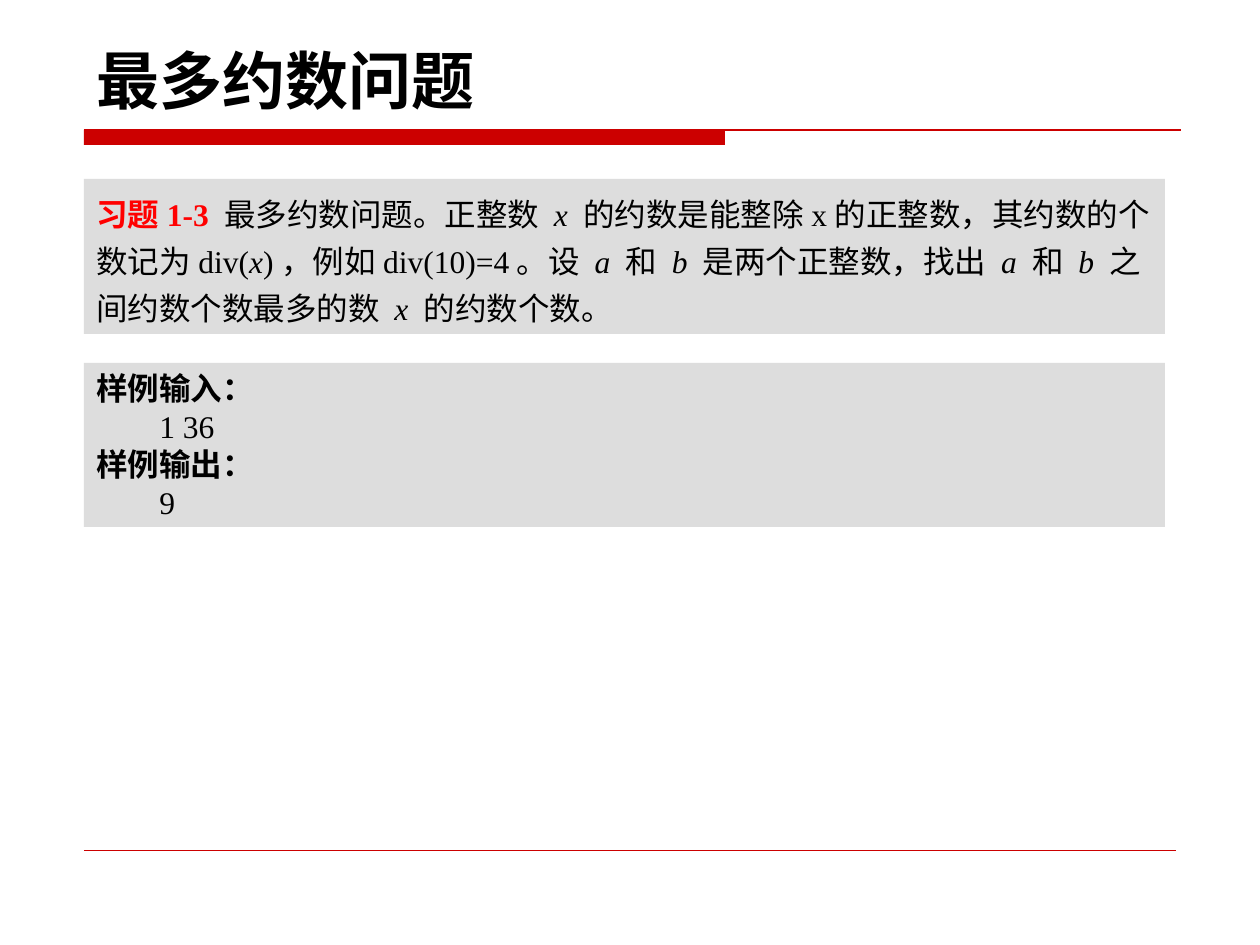
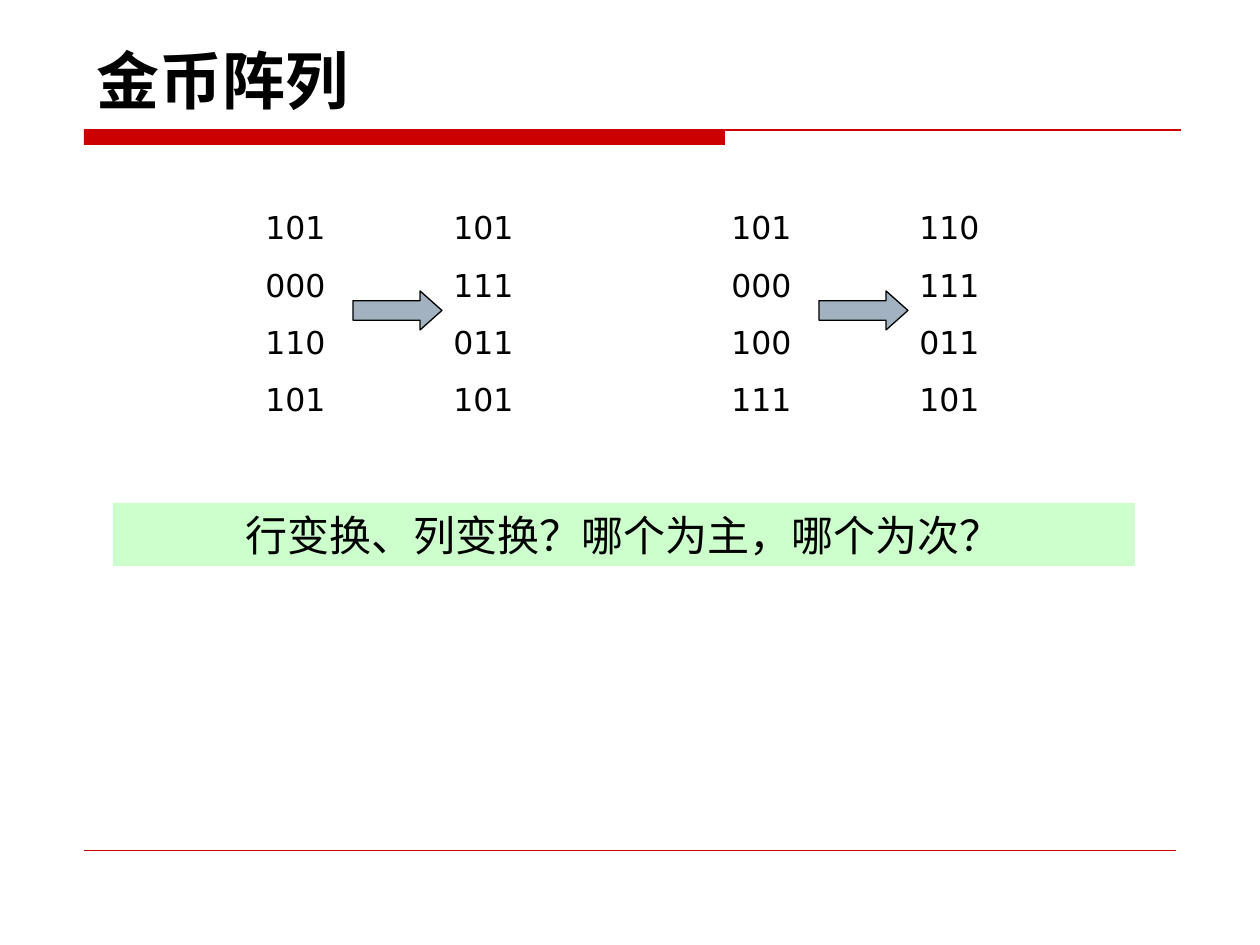
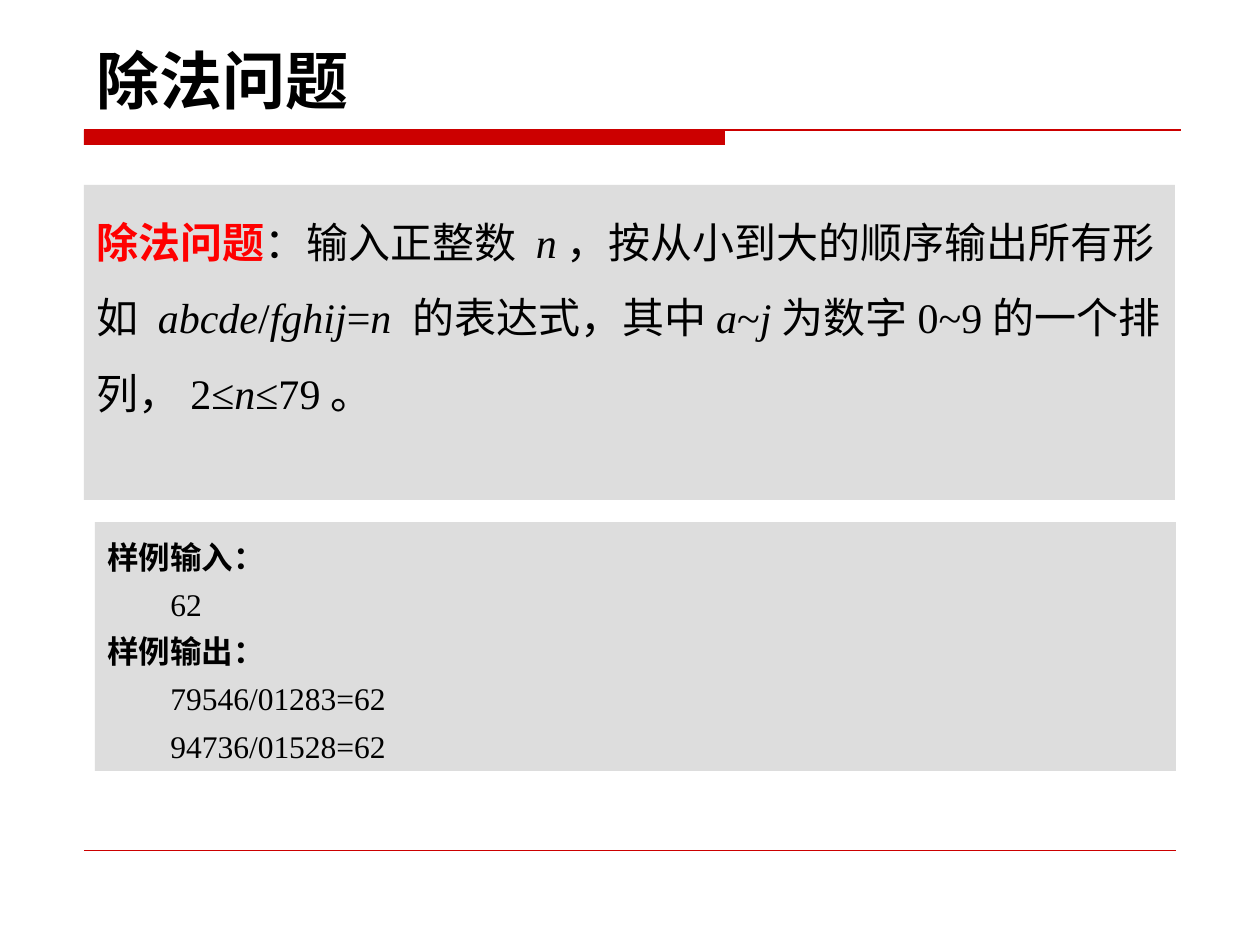
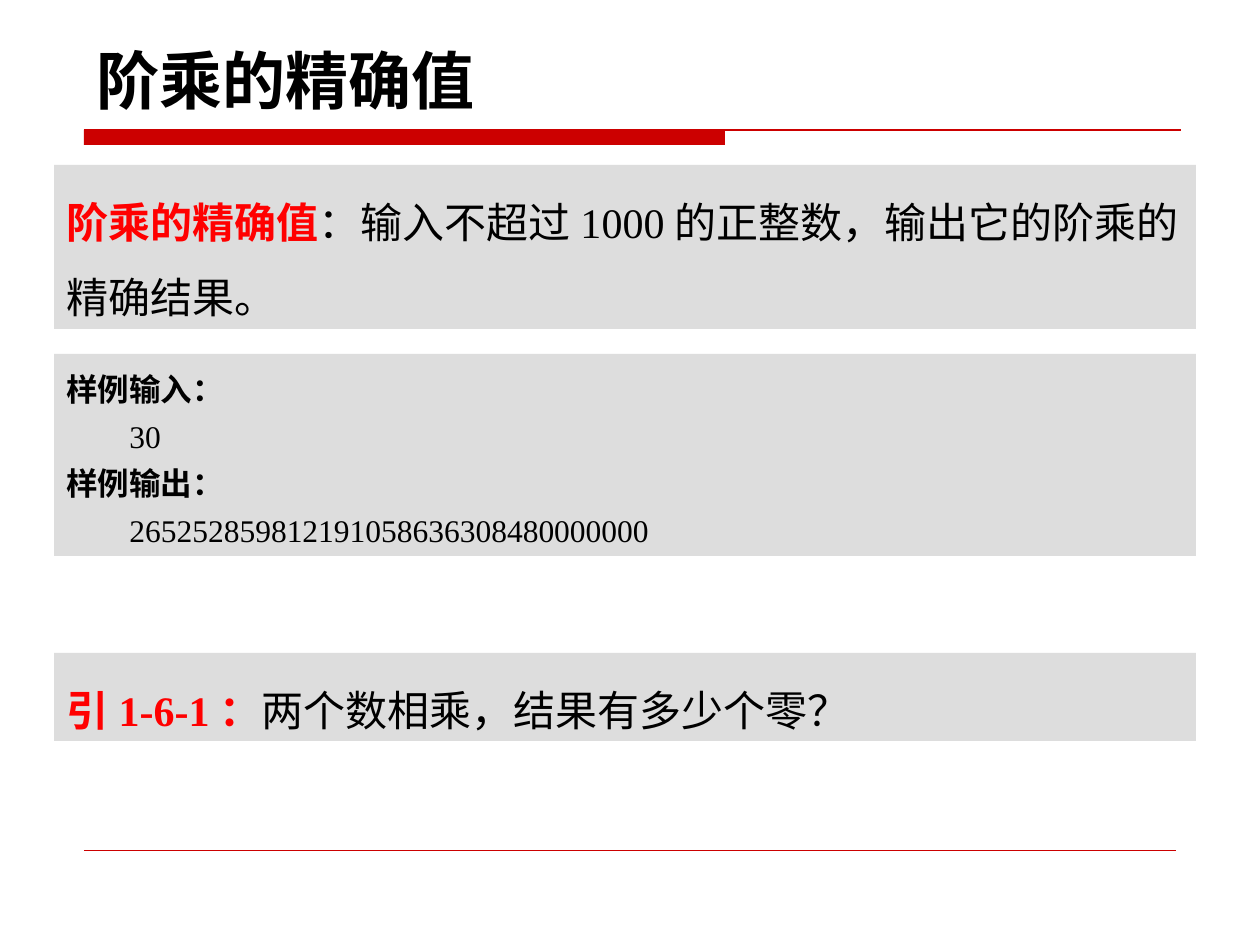
from lxml.etree import SubElement
from pptx import Presentation
from pptx.dml.color import RGBColor
from pptx.enum.shapes import MSO_CONNECTOR as Connector, MSO_SHAPE as Shape
from pptx.enum.text import MSO_ANCHOR as Anchor, PP_ALIGN as Align
from pptx.oxml.ns import qn
from pptx.util import Inches, Pt

PX = Inches(1) // 126
SANS, SERIF = "DejaVu Sans", "Times New Roman"
RED, BLACK, GREY = "CC0000", "000000", "DDDDDD"
HIGHLIGHT, GREEN, STEEL = "FF0000", "CCFFCC", "A3B2C1"
color = RGBColor.from_string


def add_line(slide, left, right, y, width):
    line = slide.shapes.add_connector(Connector.STRAIGHT, left * PX, y * PX, right * PX, y * PX)
    line.line.color.rgb = color(RED)
    line.line.width = Pt(width)
    SubElement(line._element.spPr, qn("a:effectLst"))


def add_box(slide, place, paragraphs, size, font=SERIF, fill=None,
            spacing=1.0, before=0, align=Align.LEFT):
    bounds = [value * PX for value in place]
    if fill:
        box = slide.shapes.add_shape(Shape.RECTANGLE, *bounds)
        box.shadow.inherit = False
        box.fill.solid()
        box.fill.fore_color.rgb = color(fill)
        box.line.fill.background()
    else:
        box = slide.shapes.add_textbox(*bounds)
    frame = box.text_frame
    frame.word_wrap = True
    frame.vertical_anchor = Anchor.TOP
    for index, runs in enumerate(paragraphs):
        paragraph = frame.add_paragraph() if index else frame.paragraphs[0]
        paragraph.alignment = align
        paragraph.line_spacing = spacing
        if index and before:
            paragraph.space_before = Pt(before)
        paragraph.font.name = font
        paragraph.font.size = Pt(size)
        for text, style in runs:
            run = paragraph.add_run()
            run.text = text
            run.font.bold = style in ("bold", "key")
            run.font.italic = style == "italic"
            run.font.color.rgb = color(HIGHLIGHT if style == "key" else BLACK)


presentation = Presentation()
presentation.slide_width = Inches(10)
presentation.slide_height = Inches(7.5)

slides = []
for title in ["最多约数问题", "金币阵列", "除法问题", "阶乘的精确值"]:
    slide = presentation.slides.add_slide(presentation.slide_layouts[6])
    band = slide.shapes.add_shape(Shape.RECTANGLE, 84 * PX, 130 * PX, 641 * PX, 15 * PX)
    band.shadow.inherit = False
    band.fill.solid()
    band.fill.fore_color.rgb = color(RED)
    band.line.fill.background()
    add_line(slide, 84, 1181, 130, 0.75)
    add_line(slide, 84, 1176, 850, 0.25)
    add_box(slide, (84, 35, 992, 88), [[(title, "bold")]], 36, SANS)
    slides.append(slide)
divisors, coins, division, factorial = slides

add_box(divisors, (84, 179, 1081, 155), [[
    ("习题1-3 ", "key"), ("最多约数问题。正整数 ", ""), ("x ", "italic"),
    ("的约数是能整除x的正整数，其约数的个数记为div(", ""), ("x", "italic"),
    (")，例如div(10)=4。设 ", ""), ("a ", "italic"), ("和 ", ""), ("b ", "italic"),
    ("是两个正整数，找出 ", ""), ("a ", "italic"), ("和 ", ""), ("b ", "italic"),
    ("之间约数个数最多的数 ", ""), ("x ", "italic"), ("的约数个数。", ""),
]], 18, fill=GREY, spacing=1.25)

for left, before_rows, after_rows in [
    (253, ["101", "000", "110", "101"], ["101", "111", "011", "101"]),
    (719, ["101", "000", "100", "111"], ["110", "111", "011", "101"]),
]:
    for offset, rows in [(0, before_rows), (188, after_rows)]:
        add_box(coins, (left + offset, 202, 110, 223), [[(row, "")] for row in rows],
                18, SANS, before=11.2)
    arrow = coins.shapes.add_shape(Shape.RIGHT_ARROW, (left + 100) * PX, 291 * PX, 89 * PX, 39 * PX)
    arrow.adjustments[1] = 0.56
    arrow.shadow.inherit = False
    arrow.fill.solid()
    arrow.fill.fore_color.rgb = color(STEEL)
    arrow.line.color.rgb = color(BLACK)
    arrow.line.width = Pt(0.75)

add_box(coins, (113, 503, 1022, 63), [[("行变换、列变换？哪个为主，哪个为次？", "")]],
        24, SANS, GREEN, align=Align.CENTER)

add_box(division, (84, 185, 1091, 315), [[
    ("除法问题", "key"), ("：输入正整数 ", ""), ("n", "italic"),
    ("，按从小到大的顺序输出所有形如 ", ""), ("abcde", "italic"), ("/", ""),
    ("fghij", "italic"), ("=", ""), ("n ", "italic"), ("的表达式，其中", ""),
    ("a", "italic"), ("~", ""), ("j", "italic"), ("为数字0~9的一个排列，2≤", ""),
    ("n", "italic"), ("≤79。", ""),
]], 24, fill=GREY, spacing=1.5)

for top, height, key, text in [
    (165, 164, "阶乘的精确值", "：输入不超过1000的正整数，输出它的阶乘的精确结果。"),
    (653, 88, "引1-6-1：", "两个数相乘，结果有多少个零？"),
]:
    add_box(factorial, (54, top, 1142, height), [[(key, "key"), (text, "")]],
            24, fill=GREY, spacing=1.5)

for slide, place, spacing, sample, results in [
    (divisors, (84, 363, 1081, 164), 1.0, "1 36", ["9"]),
    (division, (95, 522, 1081, 249), 1.25, "62", ["79546/01283=62", "94736/01528=62"]),
    (factorial, (54, 354, 1142, 202), 1.25, "30", ["265252859812191058636308480000000"]),
]:
    paragraphs = [[("样例输入：", "bold")], [("\t" + sample, "")], [("样例输出：", "bold")]]
    paragraphs += [[("\t" + result, "")] for result in results]
    add_box(slide, place, paragraphs, 18, fill=GREY, spacing=spacing)

presentation.save("out.pptx")
